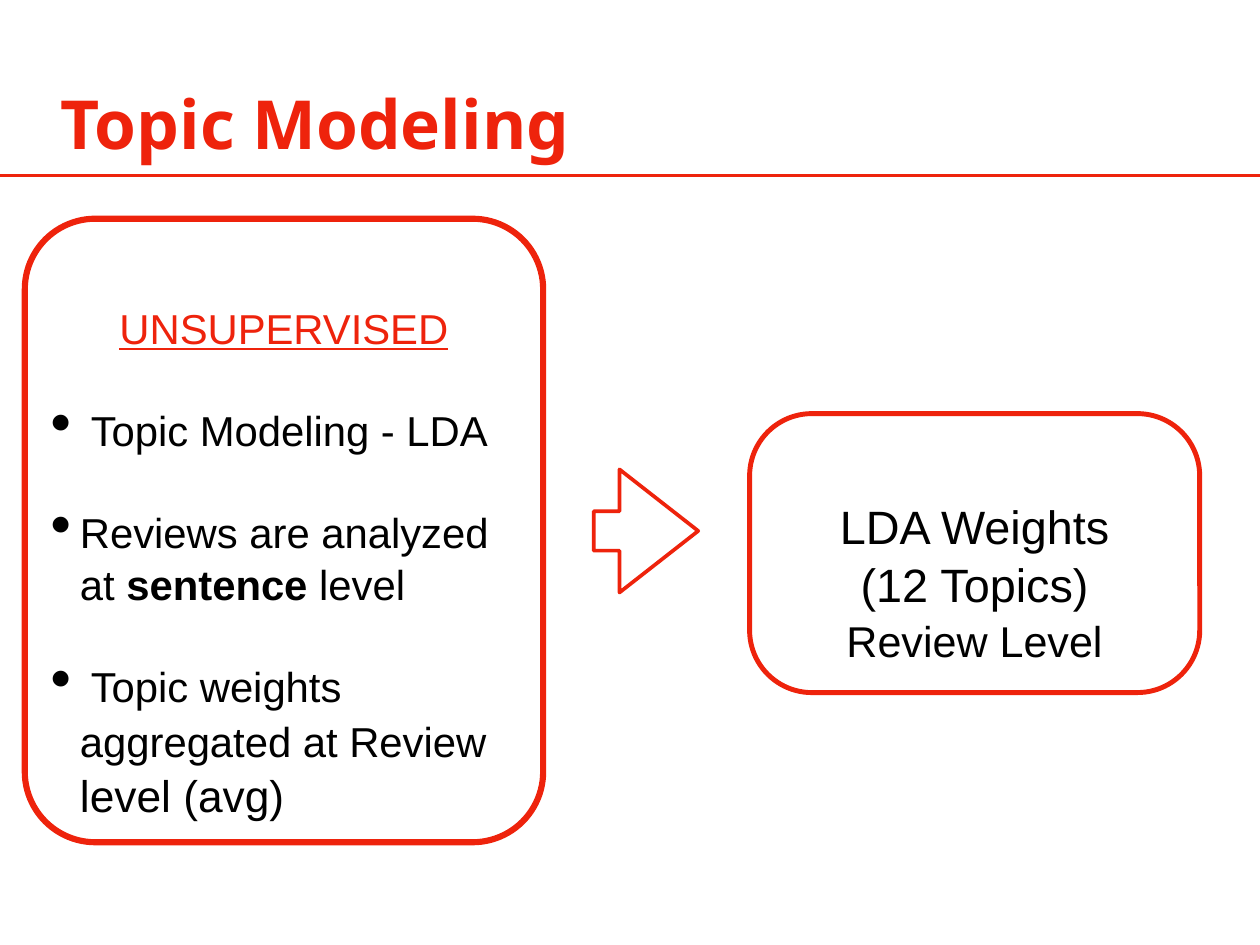
from lxml import etree
from pptx import Presentation
from pptx.dml.color import RGBColor
from pptx.enum.shapes import MSO_CONNECTOR, MSO_SHAPE
from pptx.enum.text import MSO_ANCHOR, PP_ALIGN
from pptx.oxml.ns import qn
from pptx.util import Inches, Pt

ROUNDED, ARROW = MSO_SHAPE.ROUNDED_RECTANGLE, MSO_SHAPE.RIGHT_ARROW
LEFT, CENTER = PP_ALIGN.LEFT, PP_ALIGN.CENTER
TOP, MIDDLE = MSO_ANCHOR.TOP, MSO_ANCHOR.MIDDLE

# Content: paragraphs are lists of (text, size name, styles)
TITLE = [[("Topic Modeling", "title", "bold red")]]
METHOD_HEADING = [[("UNSUPERVISED", "body", "underline red")]]
METHOD_POINTS = [
    [(" Topic Modeling - LDA", "body", "")],
    [("Reviews are analyzed at ", "body", ""), ("sentence", "body", "bold"),
     (" level", "body", "")],
    [(" Topic weights aggregated at Review", "body", ""),
     (" level (avg)", "large", "")],
]
RESULT = [
    [("LDA Weights", "result", "")],
    [("(12 Topics)", "result", "")],
    [("Review Level", "result_note", "")],
]

THEME = {
    "red": RGBColor(0xEE, 0x23, 0x0C),
    "black": RGBColor(0, 0, 0),
    "white": RGBColor(255, 255, 255),
    "title_font": "Noto Sans",
    "body_font": "Arial",
    "sizes": {"title": 55, "body": 34, "large": 36, "result": 38, "result_note": 35},
    "line_spacing": 1.04,
    "point_gap": Pt(40.6),
    "bullet_indent": Inches(0.33),
    "inset": 0.06,
}
SLIDE_W, SLIDE_H = 14.22, 10.67
RULE_Y = 1.98

prs = Presentation()
prs.slide_width, prs.slide_height = Inches(SLIDE_W), Inches(SLIDE_H)
slide = prs.slides.add_slide(prs.slide_layouts[6])


def add_outlined(kind, place, adjustments, line_width):
    shape = slide.shapes.add_shape(kind, *map(Inches, place))
    for index, value in enumerate(adjustments):
        shape.adjustments[index] = value
    shape.shadow.inherit = False
    shape.fill.solid()
    shape.fill.fore_color.rgb = THEME["white"]
    shape.line.color.rgb = THEME["red"]
    shape.line.width = Pt(line_width)
    return shape


def prepare_frame(shape, anchor, top_inset, wrap=True):
    frame = shape.text_frame
    frame.word_wrap = wrap
    frame.vertical_anchor = anchor
    frame.margin_left = frame.margin_right = frame.margin_bottom = Inches(THEME["inset"])
    frame.margin_top = Inches(top_inset)
    return frame


def add_bullet(paragraph):
    properties = paragraph._p.get_or_add_pPr()
    indent = THEME["bullet_indent"]
    properties.set("marL", str(indent))
    properties.set("indent", str(-indent))
    etree.SubElement(properties, qn("a:buSzPct")).set("val", "145000")
    etree.SubElement(properties, qn("a:buChar")).set("char", "•")


def write(frame, paragraphs, align=CENTER, font="body_font", bullets=False, spacing=None):
    for runs in paragraphs:
        first = frame.paragraphs[0]
        paragraph = frame.add_paragraph() if first.runs else first
        if bullets:
            add_bullet(paragraph)
            paragraph.space_before = THEME["point_gap"]
        paragraph.alignment = align
        if spacing:
            paragraph.line_spacing = spacing
        for text, size, styles in runs:
            run = paragraph.add_run()
            run.text = text
            run.font.name = THEME[font]
            run.font.size = Pt(THEME["sizes"][size])
            run.font.bold = "bold" in styles
            run.font.underline = "underline" in styles
            run.font.color.rgb = THEME["red" if "red" in styles else "black"]


# Method box
method_box = add_outlined(ROUNDED, (0.28, 2.47, 5.85, 7.04), [0.136], 5)
method_frame = prepare_frame(method_box, TOP, 0.69)
write(method_frame, METHOD_HEADING, spacing=THEME["line_spacing"])
write(method_frame, METHOD_POINTS, LEFT, bullets=True, spacing=THEME["line_spacing"])

# Title and rule below it
title_box = slide.shapes.add_textbox(*map(Inches, (0.46, 0.88, 6.19, 1.01)))
write(prepare_frame(title_box, MIDDLE, THEME["inset"], wrap=False), TITLE, font="title_font")
rule = slide.shapes.add_connector(
    MSO_CONNECTOR.STRAIGHT, 0, Inches(RULE_Y), Inches(SLIDE_W), Inches(RULE_Y))
rule.line.color.rgb = THEME["red"]
rule.line.width = Pt(3)
etree.SubElement(rule._element.spPr, qn("a:effectLst"))

# Arrow from method to result
add_outlined(ARROW, (6.7, 5.3, 1.18, 1.39), [0.32, 0.753], 3)

# Result box
result_box = add_outlined(ROUNDED, (8.46, 4.67, 5.08, 3.15), [0.223], 4)
write(prepare_frame(result_box, TOP, 0.72), RESULT, spacing=THEME["line_spacing"])

prs.save("out.pptx")
